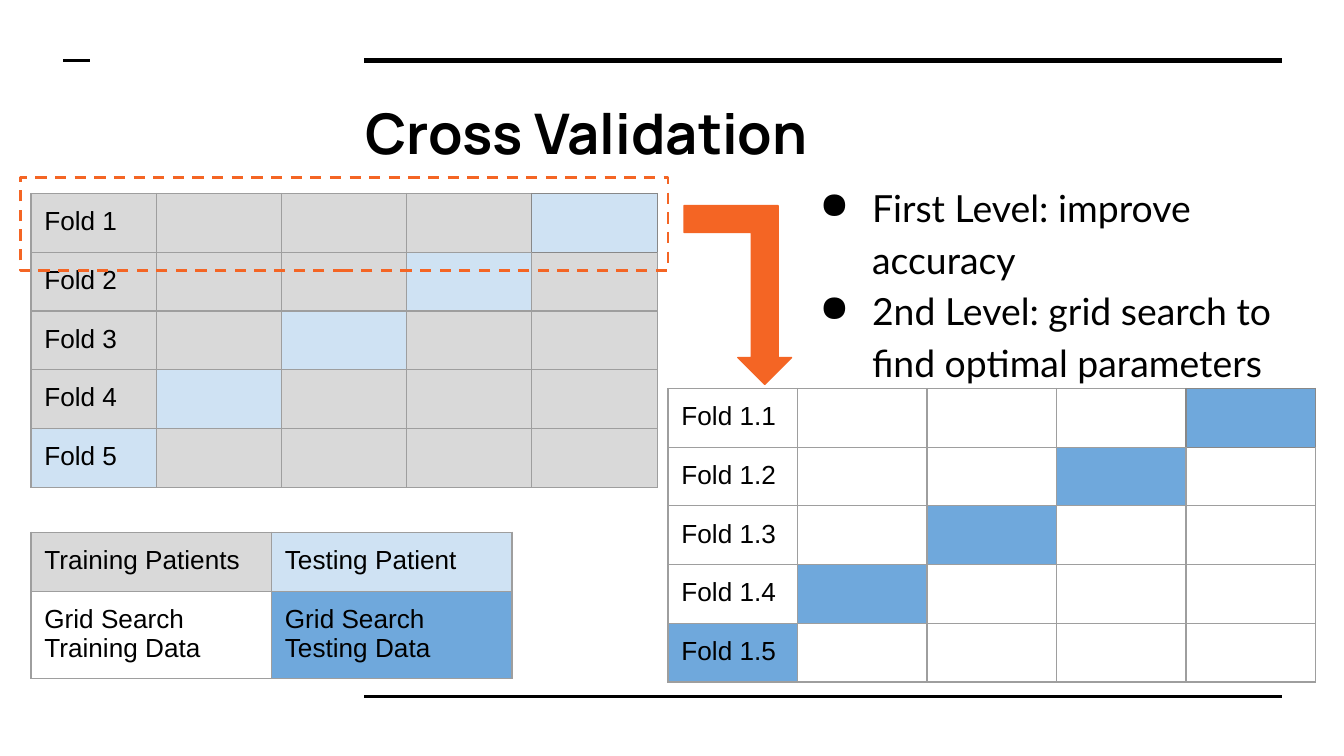
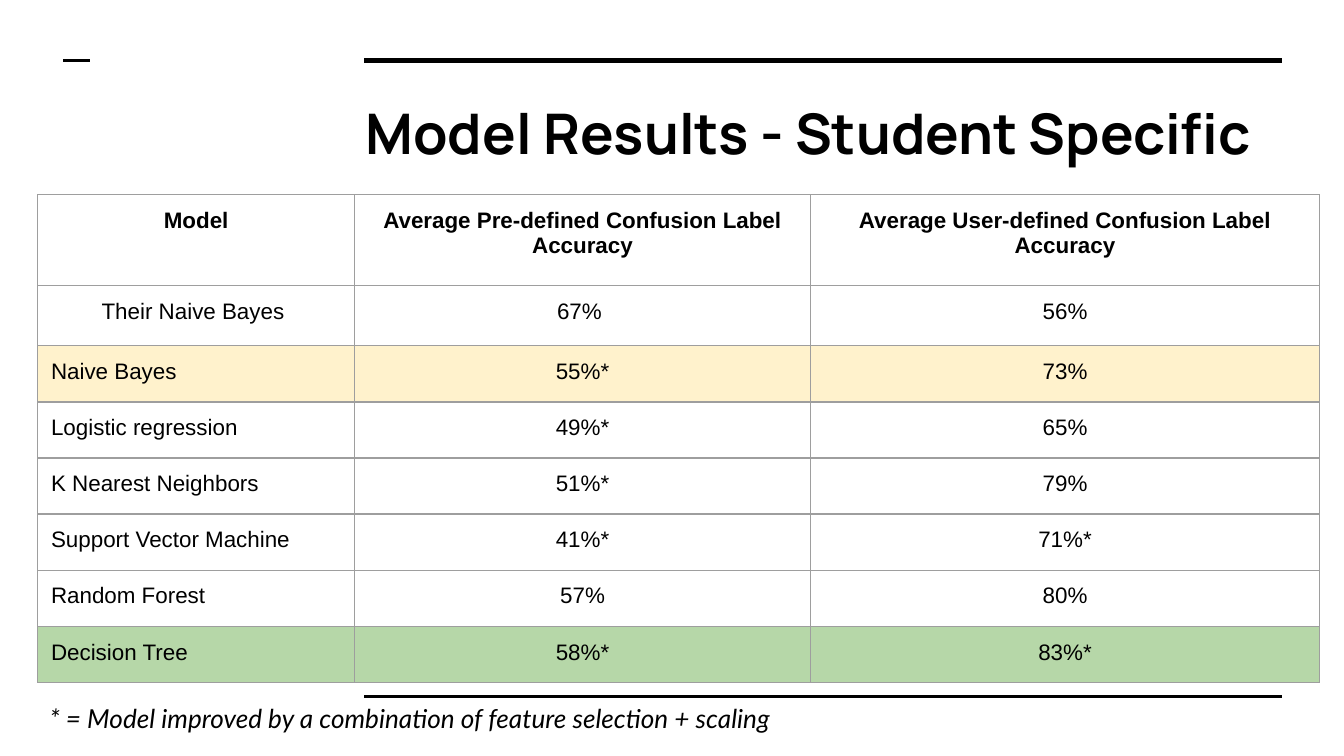
import dataclasses

import lxml.etree
import pptx
import pptx.dml.color
import pptx.enum.dml
import pptx.enum.shapes
import pptx.enum.text
import pptx.oxml.ns
import pptx.util

PX = 9144
TITLE_ONLY = 5
ALIGN = pptx.enum.text.PP_ALIGN
SHAPE = pptx.enum.shapes.MSO_SHAPE
qn = pptx.oxml.ns.qn


@dataclasses.dataclass(frozen=True)
class Theme:
    ink: str = "000000"
    paper: str = "FFFFFF"
    accent: str = "F46524"
    border: str = "9E9E9E"
    corner_border: str = "888888"
    training: str = "D9D9D9"
    testing: str = "CFE2F3"
    grid_testing: str = "6FA8DC"
    runner_up: str = "FFF2CC"
    best: str = "B6D7A8"
    title_font: str = "Manrope"
    body_font: str = "Lato"
    table_font: str = "Arial"
    title_size: int = 30
    body_size: int = 20
    fold_size: int = 14
    results_size: int = 12
    note_size: int = 14
    hairline: float = 0.75
    thin: float = 1.5
    thick: float = 3


THEME = Theme()
INSETS = dict.fromkeys(("margin_left", "margin_top", "margin_right", "margin_bottom"), 10 * PX)


def px(*lengths):
    return [round(length * PX) for length in lengths]


def rgb(value):
    return pptx.dml.color.RGBColor.from_string(value)


def apply(target, values):
    for name, value in values.items():
        setattr(target, name, value)


def write(paragraph, text, font, size, bold=False, italic=False):
    run = paragraph.add_run()
    run.text = text
    apply(run.font, {"name": font, "size": pptx.util.Pt(size), "bold": bold, "italic": italic})
    run.font.color.rgb = rgb(THEME.ink)


def prepare_frame(frame):
    apply(frame, {
        **INSETS,
        "word_wrap": True,
        "auto_size": pptx.enum.text.MSO_AUTO_SIZE.NONE,
        "vertical_anchor": pptx.enum.text.MSO_ANCHOR.TOP,
    })
    return frame


def add_text_area(slide, box):
    return prepare_frame(slide.shapes.add_textbox(*px(*box)).text_frame)


def add_rules_to_layout(slide):
    rules = [
        (271, 954, 45, THEME.thick),
        (271, 954, 518, THEME.thin),
        (47, 67, 45, THEME.thin),
    ]
    for start, end, level, weight in rules:
        rule = slide.shapes.add_connector(
            pptx.enum.shapes.MSO_CONNECTOR.STRAIGHT, *px(start, level, end, level))
        rule.line.color.rgb = rgb(THEME.ink)
        rule.line.width = pptx.util.Pt(weight)
        lxml.etree.SubElement(rule._element.spPr, qn("a:effectLst"))
        slide.slide_layout.shapes._spTree.append(rule._element)


def add_titled_slide(deck, title):
    slide = deck.slides.add_slide(deck.slide_layouts[TITLE_ONLY])
    heading = slide.shapes.title
    apply(heading, dict(zip(("left", "top", "width", "height"), px(262, 63, 691, 69))))
    paragraph = prepare_frame(heading.text_frame).paragraphs[0]
    paragraph.alignment = ALIGN.LEFT
    write(paragraph, title, THEME.title_font, THEME.title_size, bold=True)
    return slide


def set_borders(cell, dark_sides=""):
    for index, side in enumerate("LRTB"):
        edge = lxml.etree.Element(qn(f"a:ln{side}"), w=str(pptx.util.Pt(THEME.hairline)))
        fill = lxml.etree.SubElement(edge, qn("a:solidFill"))
        color = THEME.corner_border if side in dark_sides else THEME.border
        lxml.etree.SubElement(fill, qn("a:srgbClr"), val=color)
        cell._tc.get_or_add_tcPr().insert(index, edge)


def share_out(total, weights):
    return [round(total * PX * weight / sum(weights)) for weight in weights]


def add_grid(slide, box, columns, rows):
    grid = slide.shapes.add_table(len(rows), len(columns), *px(*box)).table
    apply(grid, {"first_row": False, "horz_banding": False})
    for column, width in zip(grid.columns, share_out(box[2], columns)):
        column.width = width
    for row, height in zip(grid.rows, share_out(box[3], rows)):
        row.height = height
    return grid


def fill_cell(cell, text, size, color=None, bold=False, align=ALIGN.LEFT, dark_sides=""):
    apply(cell, INSETS)
    if color:
        cell.fill.solid()
        cell.fill.fore_color.rgb = rgb(color)
    else:
        cell.fill.background()
    set_borders(cell, dark_sides)
    paragraph = cell.text_frame.paragraphs[0]
    paragraph.alignment = align
    if text:
        write(paragraph, text, THEME.table_font, size, bold)
    else:
        lxml.etree.SubElement(paragraph._p, qn("a:endParaRPr"), sz=str(size * 100))


def add_folds(slide, box, prefix, base, held_out, count=5):
    grid = add_grid(slide, box, [1] * count, [1] * count)
    last = count - 1
    corner_sides = {(0, last): "LRTB", (0, last - 1): "R", (1, last): "T"}
    for row in range(count):
        for column in range(count):
            fill_cell(
                grid.cell(row, column),
                f"{prefix}{row + 1}" if column == 0 else "",
                THEME.fold_size,
                held_out if row + column == last else base,
                dark_sides=corner_sides.get((row, column), ""))


def add_legend(slide, box):
    entries = [
        [("Training Patients", THEME.training), ("Testing Patient", THEME.testing)],
        [("Grid Search Training Data", THEME.paper),
         ("Grid Search Testing Data", THEME.grid_testing)],
    ]
    grid = add_grid(slide, box, [1, 1], [44, 65])
    for row, pair in enumerate(entries):
        for column, (label, color) in enumerate(pair):
            fill_cell(grid.cell(row, column), label, THEME.fold_size, color)


def add_drill_down_arrow(slide, box):
    arrow = slide.shapes.add_shape(SHAPE.BENT_UP_ARROW, *px(*box))
    arrow.shadow.inherit = False
    arrow.rotation = 180
    arrow._element.spPr.xfrm.set("flipH", "1")
    arrow.fill.solid()
    arrow.fill.fore_color.rgb = rgb(THEME.accent)
    arrow.line.color.rgb = rgb(THEME.accent)
    arrow.line.width = pptx.util.Pt(THEME.hairline)


def add_fold_highlight(slide, box):
    highlight = slide.shapes.add_shape(SHAPE.RECTANGLE, *px(*box))
    highlight.shadow.inherit = False
    highlight.fill.background()
    highlight.line.color.rgb = rgb(THEME.accent)
    apply(highlight.line, {
        "width": pptx.util.Pt(THEME.thin),
        "dash_style": pptx.enum.dml.MSO_LINE.DASH,
    })


def add_levels(slide, box):
    levels = [
        ("First Level: improve accuracy", 0),
        ("2nd Level: grid search to find optimal parameters", 12),
    ]
    frame = add_text_area(slide, box)
    for index, (text, gap) in enumerate(levels):
        paragraph = frame.add_paragraph() if index else frame.paragraphs[0]
        apply(paragraph, {"line_spacing": 1.15, "space_after": pptx.util.Pt(gap)})
        properties = paragraph._p.get_or_add_pPr()
        properties.set("marL", str(50 * PX))
        properties.set("indent", str(-39 * PX))
        bullet_color = lxml.etree.SubElement(properties, qn("a:buClr"))
        lxml.etree.SubElement(bullet_color, qn("a:srgbClr"), val=THEME.ink)
        lxml.etree.SubElement(properties, qn("a:buChar"), char="●")
        write(paragraph, text, THEME.body_font, THEME.body_size)


def add_results(slide, box):
    results = [
        ("Model", "Average Pre-defined Confusion Label Accuracy",
         "Average User-defined Confusion Label Accuracy"),
        ("Their Naive Bayes ", "67% ", "56%"),
        ("Naive Bayes", "55%*", "73%"),
        ("Logistic regression", "49%*", "65%"),
        ("K Nearest Neighbors", "51%*", "79%"),
        ("Support Vector Machine", "41%*", "71%*"),
        ("Random Forest", "57%", "80%"),
        ("Decision Tree", "58%*", "83%*"),
    ]
    row_colors = {"Naive Bayes": THEME.runner_up, "Decision Tree": THEME.best}
    grid = add_grid(slide, box, [236, 339, 379], [68, 45] + [42] * 6)
    for row, values in enumerate(results):
        for column, value in enumerate(values):
            own_model_name = column == 0 and row > 1
            fill_cell(
                grid.cell(row, column), value, THEME.results_size,
                row_colors.get(values[0]), bold=row == 0,
                align=ALIGN.LEFT if own_model_name else ALIGN.CENTER)


def add_note(slide, box, text):
    paragraph = add_text_area(slide, box).paragraphs[0]
    write(paragraph, text, THEME.body_font, THEME.note_size, italic=True)


def build_cross_validation(deck):
    slide = add_titled_slide(deck, "Cross Validation")
    add_rules_to_layout(slide)
    add_folds(slide, (23, 144, 466, 217), "Fold ", THEME.training, THEME.testing)
    add_drill_down_arrow(slide, (509, 153, 80, 133))
    add_fold_highlight(slide, (15, 132, 482, 69))
    add_levels(slide, (589, 123, 400, 121))
    add_legend(slide, (23, 396, 358, 109))
    add_folds(slide, (497, 289, 482, 217), "Fold 1.", THEME.paper, THEME.grid_testing)


def build_model_results(deck):
    slide = add_titled_slide(deck, "Model Results - Student Specific")
    add_results(slide, (28, 145, 954, 363))
    add_note(slide, (27, 513, 639, 44),
             "* = Model improved by a combination of feature selection + scaling")


def main():
    deck = pptx.Presentation()
    apply(deck, dict(zip(("slide_width", "slide_height"), px(1000, 562.5))))
    build_cross_validation(deck)
    build_model_results(deck)
    deck.save("out.pptx")


if __name__ == "__main__":
    main()
